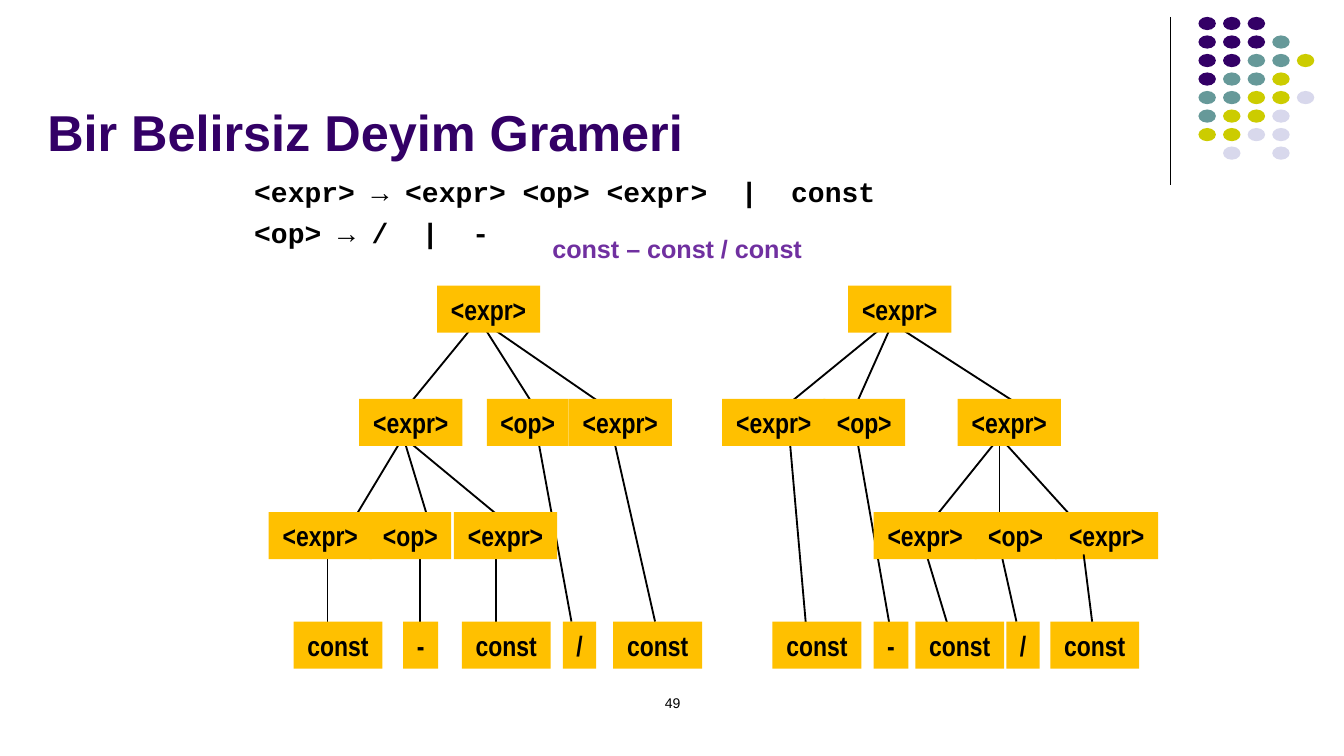
"""Build a slide that shows two parse trees of an ambiguous expression grammar."""
from dataclasses import dataclass

from pptx import Presentation
from pptx.dml.color import RGBColor
from pptx.enum.shapes import MSO_CONNECTOR, MSO_SHAPE
from pptx.enum.text import MSO_ANCHOR, MSO_AUTO_SIZE, PP_ALIGN
from pptx.oxml.ns import qn
from pptx.util import Cm, Pt


@dataclass(frozen=True)
class Theme:
    title: str = "330066"
    text: str = "000000"
    node: str = "FFC000"
    sentence: str = "7030A0"
    title_size: float = 27
    body_size: float = 15
    sentence_size: float = 13.5
    number_size: float = 7.5
    sans: str = "Arial"
    narrow: str = "Arial Narrow"
    mono: str = "Courier New"


THEME = Theme()
DOT_COLORS = {"P": THEME.title, "T": "669999", "Y": "CCCC00", "L": "D8D8EC"}
DOT_ROWS = ["PPP", "PPPT", "PPTTY", "PTTY", "TTYYL", "TYYL", "YYLL", ".L.L"]
GRAMMAR = ["<expr> → <expr> <op> <expr>  |  const", "<op> → /  |  -"]

NODE_HEIGHT = 0.89
NODE_WIDTHS = {"<expr>": 1.95, "<op>": 1.55, "const": 1.68, "-": 0.66, "/": 0.63}
LEVELS = [
    (5.4, [("<expr>", [8.26, 16.03])]),
    (7.54, [("<expr>", [6.79, 10.75, 13.65, 18.1]), ("<op>", [9.2, 15.56])]),
    (9.68, [("<expr>", [5.08, 8.58, 16.51, 19.94]), ("<op>", [6.98, 18.42])]),
    (11.75, [("const", [5.55, 8.73, 11.59, 14.6, 17.3, 19.85]),
             ("-", [7.62, 16.51]), ("/", [10.64, 19.02])]),
]
BRANCHES = [
    (9.05, 6.03, 7.78, [7.62, 10.16, 11.59]),
    (7.62, 8.26, 9.84, [6.67, 8.1, 9.53]),
    (6.19, 10.32, 11.91, [6.19]),
    (7.94, 10.32, 11.91, [7.94]),
    (9.37, 10.32, 11.91, [9.37]),
    (10.16, 8.26, 11.75, [10.8]),
    (11.59, 8.26, 11.75, [12.38]),
    (16.67, 6.19, 7.62, [14.92]),
    (16.83, 6.19, 7.62, [16.19]),
    (16.99, 6.19, 7.62, [19.21]),
    (18.89, 8.26, 9.84, [17.62, 18.89, 20.32]),
    (14.92, 8.26, 11.91, [15.24]),
    (16.19, 8.26, 11.91, [16.83]),
    (17.46, 10.32, 11.91, [17.94]),
    (18.89, 10.32, 11.75, [19.21]),
]
FRONT_BRANCH = (20.48, 10.48, 11.75, [20.64])


def add_span(para, text, size, face, color, bold=True):
    """Add one formatted run to a paragraph."""
    span = para.add_run()
    span.text = text
    span.font.size = Pt(size)
    span.font.name = face
    span.font.bold = bold
    span.font.color.rgb = RGBColor.from_string(color)


def place(box, left, top, width, height):
    """Move and size a placeholder."""
    box.left, box.top, box.width, box.height = map(Cm, (left, top, width, height))


def add_line(page, start_x, start_y, end_x, end_y, weight=1):
    """Draw a straight line without a shadow."""
    line = page.shapes.add_connector(
        MSO_CONNECTOR.STRAIGHT, Cm(start_x), Cm(start_y), Cm(end_x), Cm(end_y))
    line.line.color.rgb = RGBColor.from_string(THEME.text)
    line.line.width = Pt(weight)
    properties = line._element.spPr
    properties.append(properties.makeelement(qn("a:effectLst"), {}))


def add_fan(page, start_x, start_y, end_y, ends):
    """Draw the branches that leave one node."""
    for end_x in ends:
        add_line(page, start_x, start_y, end_x, end_y)


def add_filled(page, kind, left, top, width, height, color):
    """Add a flat shape without an outline."""
    shape = page.shapes.add_shape(kind, Cm(left), Cm(top), Cm(width), Cm(height))
    shape.shadow.inherit = False
    shape.fill.solid()
    shape.fill.fore_color.rgb = RGBColor.from_string(color)
    shape.line.fill.background()
    return shape


def add_node(page, label, left, top):
    """Add one labelled tree node."""
    node = add_filled(page, MSO_SHAPE.RECTANGLE, left, top,
                      NODE_WIDTHS[label], NODE_HEIGHT, THEME.node)
    frame = node.text_frame
    frame.word_wrap = False
    frame.auto_size = MSO_AUTO_SIZE.SHAPE_TO_FIT_TEXT
    para = frame.paragraphs[0]
    para.alignment = PP_ALIGN.CENTER
    add_span(para, label, THEME.body_size, THEME.narrow, THEME.text)


def add_dots(page):
    """Draw the corner ornament on its grid."""
    for row, letters in enumerate(DOT_ROWS):
        for column, letter in enumerate(letters):
            if letter in DOT_COLORS:
                add_filled(page, MSO_SHAPE.OVAL, 22.65 + 0.465 * column,
                           0.32 + 0.35 * row, 0.33, 0.25, DOT_COLORS[letter])


def fill_title(page):
    """Fill the title placeholder."""
    box = page.shapes.title
    place(box, 0.64, 0.48, 21.39, 2.7)
    frame = box.text_frame
    frame.auto_size = MSO_AUTO_SIZE.NONE
    frame.vertical_anchor = MSO_ANCHOR.BOTTOM
    para = frame.paragraphs[0]
    para.alignment = PP_ALIGN.LEFT
    add_span(para, "Bir Belirsiz Deyim Grameri", THEME.title_size, THEME.sans, THEME.title)


def fill_grammar(page):
    """Fill the body placeholder with the grammar rules."""
    box = page.placeholders[1]
    place(box, 4.45, 3.18, 15.54, 3.02)
    frame = box.text_frame
    frame.auto_size = MSO_AUTO_SIZE.NONE
    for index, rule in enumerate(GRAMMAR):
        para = frame.add_paragraph() if index else frame.paragraphs[0]
        properties = para._p.get_or_add_pPr()
        properties.set("marL", str(Cm(0.1)))
        properties.set("indent", "0")
        properties.append(properties.makeelement(qn("a:buNone"), {}))
        para.space_before = Pt(4 if index else 0)
        add_span(para, rule, THEME.body_size, THEME.mono, THEME.text)


def add_label(page, text, left, top, width, height, size, color, bold):
    """Add a centred one-line text box."""
    box = page.shapes.add_textbox(Cm(left), Cm(top), Cm(width), Cm(height))
    box.text_frame.word_wrap = False
    para = box.text_frame.paragraphs[0]
    para.alignment = PP_ALIGN.CENTER
    add_span(para, text, size, THEME.sans, color, bold)


def main():
    """Build and save the deck."""
    deck = Presentation()
    deck.slide_width, deck.slide_height = Cm(25.4), Cm(14.29)
    page = deck.slides.add_slide(deck.slide_layouts[1])
    add_line(page, 22.12, 0.32, 22.12, 3.5, 0.75)
    add_dots(page)
    fill_title(page)
    fill_grammar(page)
    for branch in BRANCHES:
        add_fan(page, *branch)
    for top, groups in LEVELS:
        for label, lefts in groups:
            for left in lefts:
                add_node(page, label, left, top)
    add_label(page, "49", 8.69, 13.0, 8.05, 0.97, THEME.number_size, THEME.text, False)
    add_label(page, "const – const / const", 10.16, 4.29, 5.28, 0.84,
              THEME.sentence_size, THEME.sentence, True)
    add_fan(page, *FRONT_BRANCH)
    deck.save("out.pptx")


if __name__ == "__main__":
    main()
